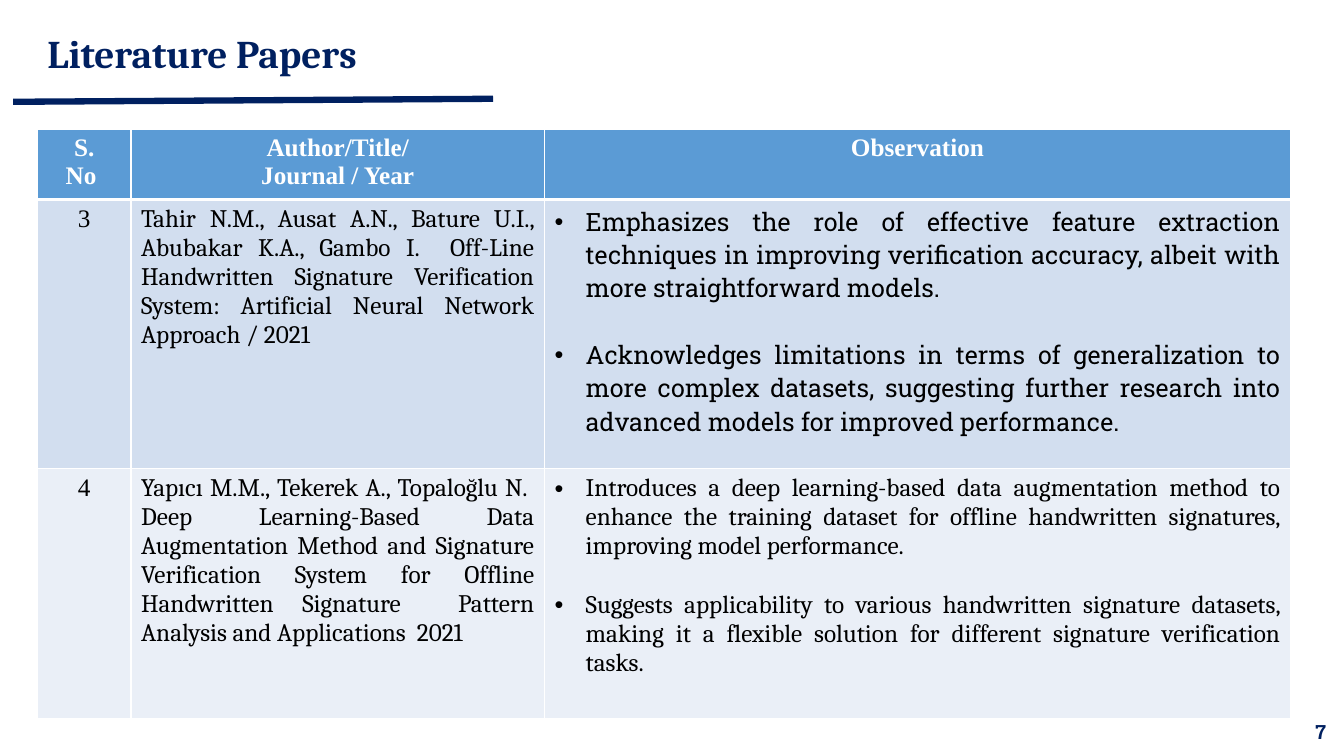
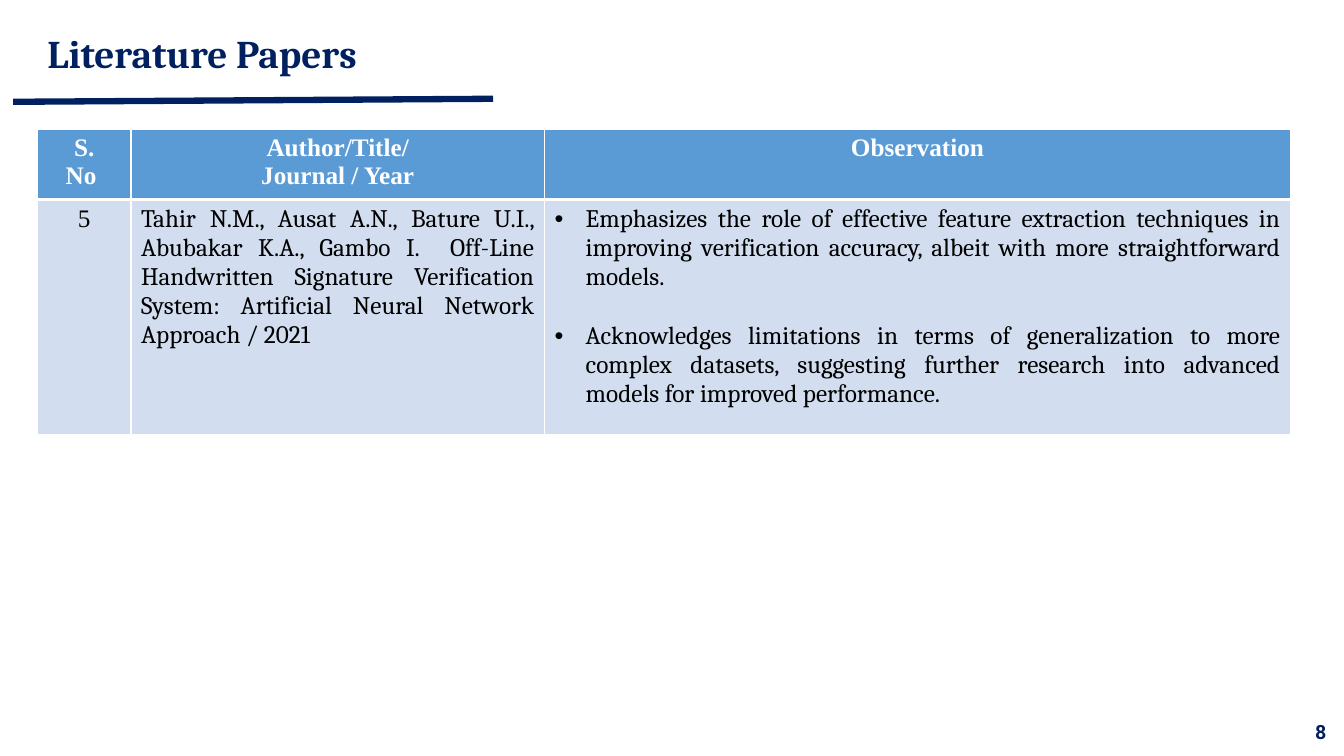
from lxml.etree import SubElement
from pptx import Presentation
from pptx.dml.color import RGBColor as RGB
from pptx.enum.shapes import MSO_CONNECTOR as Link
from pptx.enum.text import MSO_ANCHOR as Anchor, MSO_AUTO_SIZE as Fit, PP_ALIGN as Align
from pptx.oxml import parse_xml
from pptx.oxml.ns import nsdecls, qn
from pptx.util import Inches, Pt

NAVY = RGB(0x00, 0x20, 0x60)
BLUE = RGB(0x5B, 0x9B, 0xD5)
PALE = RGB(0xD2, 0xDE, 0xEF)
MIST = RGB(0xEA, 0xEF, 0xF7)
WHITE = RGB(0xFF, 0xFF, 0xFF)
BLACK = RGB(0x00, 0x00, 0x00)
SERIF, SLAB, TIMES = "Cambria", "Roboto Slab", "Times New Roman"

LEFT = 0.37
COLS = (0.93, 4.1, 7.4)
HEAD = 0.68
HEADS = ("S.\nNo ", "Author/Title/\nJournal / Year", "Observation")

TAHIR = ("Tahir N.M., Ausat A.N., Bature U.I., Abubakar K.A., Gambo I.  Off-Line "
         "Handwritten Signature Verification System: Artificial Neural Network "
         "Approach / 2021")
TAHIR_NOTES = (
    "Emphasizes the role of effective feature extraction techniques in improving "
    "verification accuracy, albeit with more straightforward models.\n"
    "Acknowledges limitations in terms of generalization to more complex datasets, "
    "suggesting further research into advanced models for improved performance.")
YAPICI = ("Yapıcı M.M., Tekerek A., Topaloğlu N.  Deep Learning-Based Data "
          "Augmentation Method and Signature Verification System for Offline "
          "Handwritten Signature  Pattern Analysis and Applications  2021")
YAPICI_NOTES = (
    "Introduces a deep learning-based data augmentation method to enhance the "
    "training dataset for offline handwritten signatures, improving model "
    "performance.\n"
    "Suggests applicability to various handwritten signature datasets, making it a "
    "flexible solution for different signature verification tasks.")

PAGES = (
    (7, ((2.67, "3", TAHIR, TAHIR_NOTES, SLAB),
         (2.48, "4", YAPICI, YAPICI_NOTES, SERIF))),
    (8, ((2.33, "5", TAHIR, TAHIR_NOTES, SERIF),)),
)


def style(frame, font, size, color, bold=False, align=Align.LEFT):
    """Format every paragraph and run of a text frame."""
    for para in frame.paragraphs:
        para.alignment = align
        for run in para.runs:
            run.font.name = font
            run.font.size = Pt(size)
            run.font.bold = bold
            run.font.color.rgb = color


def add_title(slide, text):
    """Place the slide title and the rule under it."""
    title = slide.shapes.title
    title.left, title.top = Inches(LEFT), Inches(0.23)
    title.width, title.height = Inches(10.68), Inches(0.65)
    frame = title.text_frame
    frame.text = text
    frame.auto_size = Fit.NONE
    frame.vertical_anchor = Anchor.MIDDLE
    frame.paragraphs[0].line_spacing = 0.9
    style(frame, SERIF, 28, NAVY, bold=True)
    rule = slide.shapes.add_connector(
        Link.STRAIGHT, Inches(0.13), Inches(1.01), Inches(4.89), Inches(0.98))
    rule.line.color.rgb = NAVY
    rule.line.width = Pt(4.5)
    SubElement(rule._element.spPr, qn("a:effectLst"))


def add_number(slide, number):
    """Write the page number at the lower right."""
    box = slide.shapes.add_textbox(Inches(10.25), Inches(7.06), Inches(3), Inches(0.4))
    frame = box.text_frame
    frame.word_wrap = True
    frame.vertical_anchor = Anchor.MIDDLE
    frame.text = str(number)
    style(frame, SLAB, 14, NAVY, bold=True, align=Align.RIGHT)


def set_edges(cell, top=1, bottom=1):
    """Draw the white borders of a cell, with widths in points."""
    props = cell._tc.get_or_add_tcPr()
    for i, (side, width) in enumerate(zip("LRTB", (1, 1, top, bottom))):
        props.insert(i, parse_xml(
            f'<a:ln{side} {nsdecls("a")} w="{Pt(width)}"><a:solidFill>'
            f'<a:srgbClr val="{WHITE}"/></a:solidFill></a:ln{side}>'))


def set_cell(cell, text, fill, font, color=BLACK, bold=False, align=Align.CENTER):
    """Fill a cell and write its text."""
    cell.fill.solid()
    cell.fill.fore_color.rgb = fill
    cell.text_frame.text = text
    style(cell.text_frame, font, 18, color, bold, align)


def add_bullets(frame, gap):
    """Give each paragraph a hanging bullet and a gap between them."""
    for para in frame.paragraphs:
        props = para._p.get_or_add_pPr()
        props.set("marL", str(Inches(0.31)))
        props.set("indent", str(-Inches(0.31)))
        SubElement(props, qn("a:buFont"), typeface="Arial")
        SubElement(props, qn("a:buChar"), char="•")
    for para in frame.paragraphs[:-1]:
        para.space_after = Pt(gap)


def add_papers(slide, papers):
    """Build the table of papers and observations."""
    highs = [HEAD] + [paper[0] for paper in papers]
    table = slide.shapes.add_table(
        len(highs), len(COLS), Inches(LEFT), Inches(1.28),
        Inches(sum(COLS)), Inches(sum(highs))).table
    for col, width in zip(table.columns, COLS):
        col.width = Inches(width)
    for row, high in zip(table.rows, highs):
        row.height = Inches(high)
    for i, head in enumerate(HEADS):
        cell = table.cell(0, i)
        set_cell(cell, head, BLUE, TIMES, WHITE, bold=True)
        set_edges(cell, bottom=3)
    for r, (_, number, source, notes, font) in enumerate(papers, 1):
        fill = PALE if r % 2 else MIST
        cells = [table.cell(r, i) for i in range(len(COLS))]
        set_cell(cells[0], number, fill, TIMES)
        set_cell(cells[1], source, fill, SERIF, align=Align.JUSTIFY)
        set_cell(cells[2], notes, fill, font, align=Align.JUSTIFY)
        add_bullets(cells[2].text_frame, 24 if font == SLAB else 21)
        for cell in cells:
            set_edges(cell, top=3 if r == 1 else 1)


def main():
    """Build the slides and save them."""
    prs = Presentation()
    prs.slide_width, prs.slide_height = Inches(13.33), Inches(7.5)
    for number, papers in PAGES:
        slide = prs.slides.add_slide(prs.slide_layouts[5])
        add_title(slide, "Literature Papers")
        add_number(slide, number)
        add_papers(slide, papers)
    prs.save("out.pptx")


if __name__ == "__main__":
    main()
